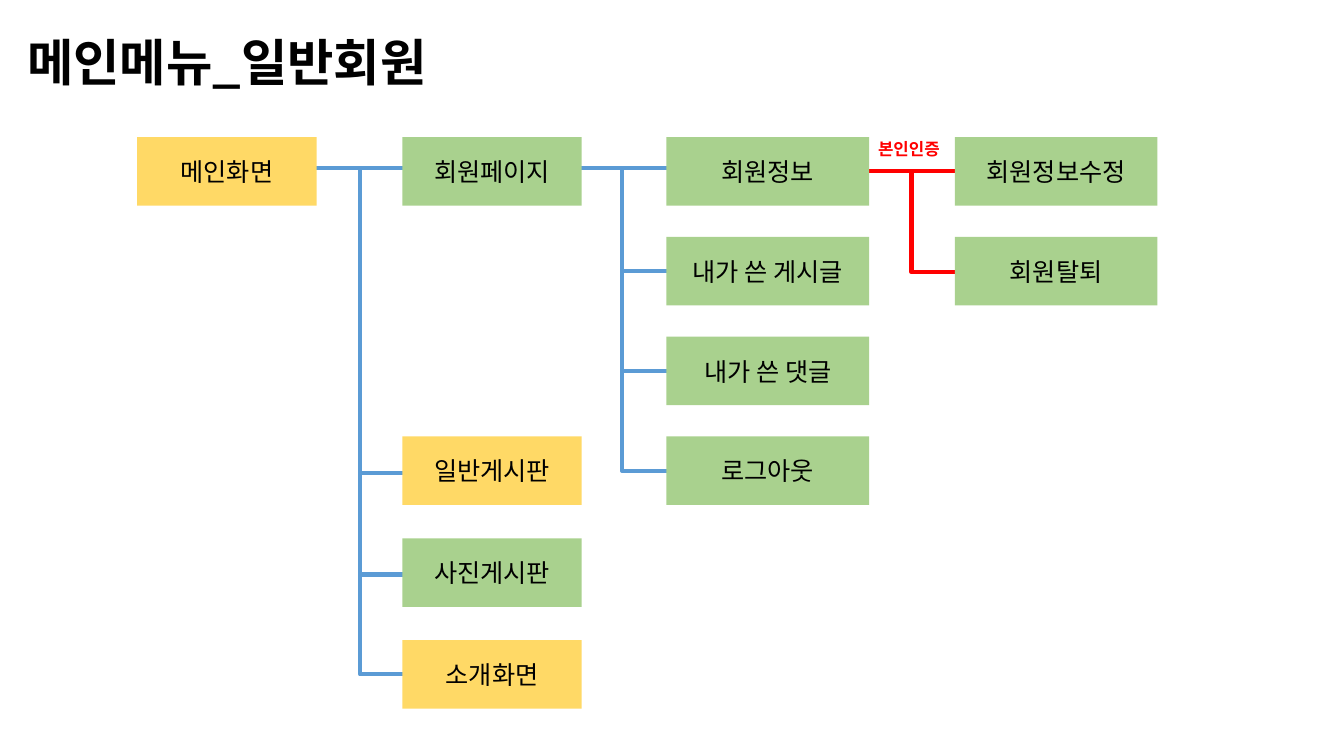
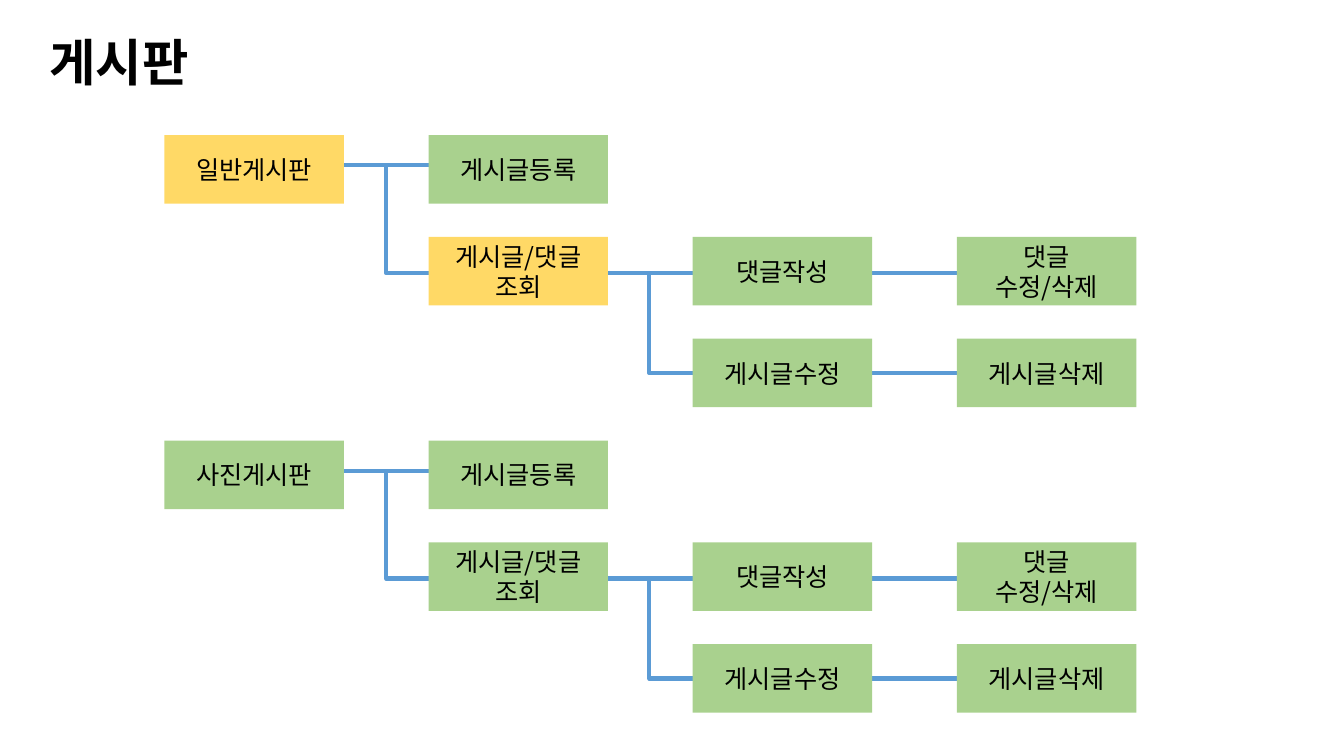
from lxml.etree import SubElement
from pptx import Presentation
from pptx.dml.color import RGBColor
from pptx.enum.shapes import MSO_CONNECTOR, MSO_SHAPE
from pptx.enum.text import MSO_ANCHOR, MSO_AUTO_SIZE, PP_ALIGN
from pptx.oxml.ns import qn
from pptx.util import Inches, Pt

FONT = "Noto Sans CJK KR"
COLORS = {
    "black": "000000",
    "open": "FFD966",
    "member": "A9D18E",
    "flow": "5B9BD5",
    "verify": "FF0000",
}
BOX_HEIGHT = 0.68
BOX_WIDTH = 1.78
WIDE_BOX = 2.01


def rgb(color):
    return RGBColor.from_string(COLORS[color])


def add_text(paragraph, text, size, color="black", bold=False):
    run = paragraph.add_run()
    run.text = text
    run.font.size = Pt(size)
    run.font.bold = bold
    run.font.color.rgb = rgb(color)
    run.font.name = FONT
    SubElement(run.font._element, qn("a:ea"), typeface=FONT)


def add_label(slide, text, left, top, width, height, size, color="black",
              align=PP_ALIGN.LEFT, wrap=True):
    label = slide.shapes.add_textbox(Inches(left), Inches(top), Inches(width), Inches(height))
    label.text_frame.word_wrap = wrap
    label.text_frame.auto_size = MSO_AUTO_SIZE.SHAPE_TO_FIT_TEXT
    paragraph = label.text_frame.paragraphs[0]
    paragraph.alignment = align
    add_text(paragraph, text, size, color, bold=True)


def add_title(slide, text, left, width, align=PP_ALIGN.LEFT):
    add_label(slide, text, left, 0.26, width, 0.71, 36, align=align)


def add_box(slide, lines, left, top, color="member", width=BOX_WIDTH):
    box = slide.shapes.add_shape(
        MSO_SHAPE.RECTANGLE, Inches(left), Inches(top), Inches(width), Inches(BOX_HEIGHT))
    box.shadow.inherit = False
    box.fill.solid()
    box.fill.fore_color.rgb = rgb(color)
    box.line.fill.background()
    frame = box.text_frame
    frame.word_wrap = True
    frame.vertical_anchor = MSO_ANCHOR.MIDDLE
    for index, line in enumerate(lines):
        paragraph = frame.add_paragraph() if index else frame.paragraphs[0]
        paragraph.alignment = PP_ALIGN.CENTER
        add_text(paragraph, line, 18)


def add_link(slide, kind, start, end, color):
    link = slide.shapes.add_connector(kind, *map(Inches, start + end))
    link.line.color.rgb = rgb(color)
    link.line.width = Pt(3)
    SubElement(link._element.spPr, qn("a:effectLst"))
    return link


def add_line(slide, left, right, y, color="flow"):
    add_link(slide, MSO_CONNECTOR.STRAIGHT, (left, y), (right, y), color)


def add_branches(slide, trunk, top, right, ends, color="flow"):
    for end in ends:
        branch = add_link(slide, MSO_CONNECTOR.ELBOW, (trunk, top), (right, end), color)
        adjustments = branch._element.spPr.find(qn("a:prstGeom")).get_or_add_avLst()
        SubElement(adjustments, qn("a:gd"), name="adj1", fmla="val 0")


def build_main_menu(slide):
    add_title(slide, "메인메뉴_일반회원", 0.17, 4.5)
    add_line(slide, 2.96, 7.2, 1.67)
    add_line(slide, 8.35, 9.99, 1.7, "verify")
    add_branches(slide, 3.57, 1.67, 4.1, (4.69, 5.7, 6.69))
    add_branches(slide, 6.17, 1.67, 6.86, (2.69, 3.68, 4.67))
    add_branches(slide, 9.04, 1.7, 9.73, (2.7,), "verify")

    top = 1.36
    add_box(slide, ["메인화면"], 1.36, top, "open")
    pages = [("회원페이지", top, "member"), ("일반게시판", 4.33, "open"),
             ("사진게시판", 5.34, "member"), ("소개화면", 6.35, "open")]
    for page, page_top, color in pages:
        add_box(slide, [page], 3.99, page_top, color)
    member_columns = [
        (6.61, ["회원정보", "내가 쓴 게시글", "내가 쓴 댓글", "로그아웃"]),
        (9.47, ["회원정보수정", "회원탈퇴"]),
    ]
    for left, entries in member_columns:
        for row, entry in enumerate(entries):
            add_box(slide, [entry], left, top + 0.99 * row, width=WIDE_BOX)
    add_label(slide, "본인인증", 8.61, 1.33, 0.88, 0.3, 12, "verify", wrap=False)


def add_board(slide, name, top, color):
    register_y, view_y, edit_y = top + 0.3, top + 1.37, top + 2.36
    add_line(slide, 3.22, 4.63, register_y)
    add_branches(slide, 3.83, register_y, 4.63, (view_y,))
    add_line(slide, 5.8, 9.7, view_y)
    add_branches(slide, 6.44, view_y, 9.7, (edit_y,))
    steps = [
        (0, 0, [name], color),
        (1, 0, ["게시글등록"], "member"),
        (1, 1, ["게시글/댓글", "조회"], color),
        (2, 1, ["댓글작성"], "member"),
        (3, 1, ["댓글", "수정/삭제"], "member"),
        (2, 2, ["게시글수정"], "member"),
        (3, 2, ["게시글삭제"], "member"),
    ]
    for column, row, lines, step_color in steps:
        add_box(slide, lines, 1.63 + 2.62 * column, top + 1.01 * row, step_color)


def build_boards(slide):
    add_title(slide, "게시판", 0, 2.36, PP_ALIGN.CENTER)
    add_board(slide, "일반게시판", 1.34, "open")
    add_board(slide, "사진게시판", 4.37, "member")


def main():
    deck = Presentation()
    deck.slide_width = Inches(13.33)
    deck.slide_height = Inches(7.5)
    for build in (build_main_menu, build_boards):
        build(deck.slides.add_slide(deck.slide_layouts[6]))
    deck.save("out.pptx")


if __name__ == "__main__":
    main()
